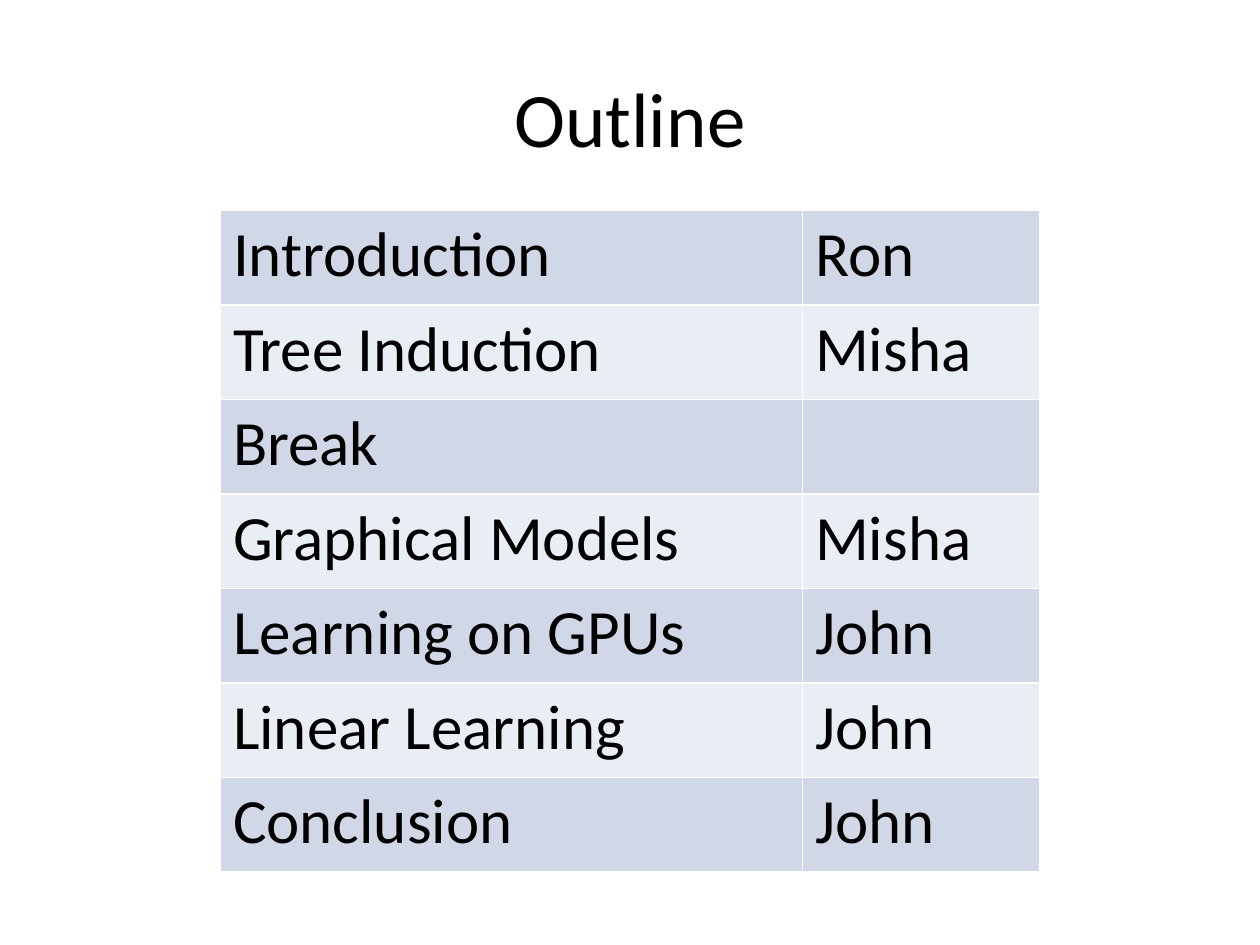
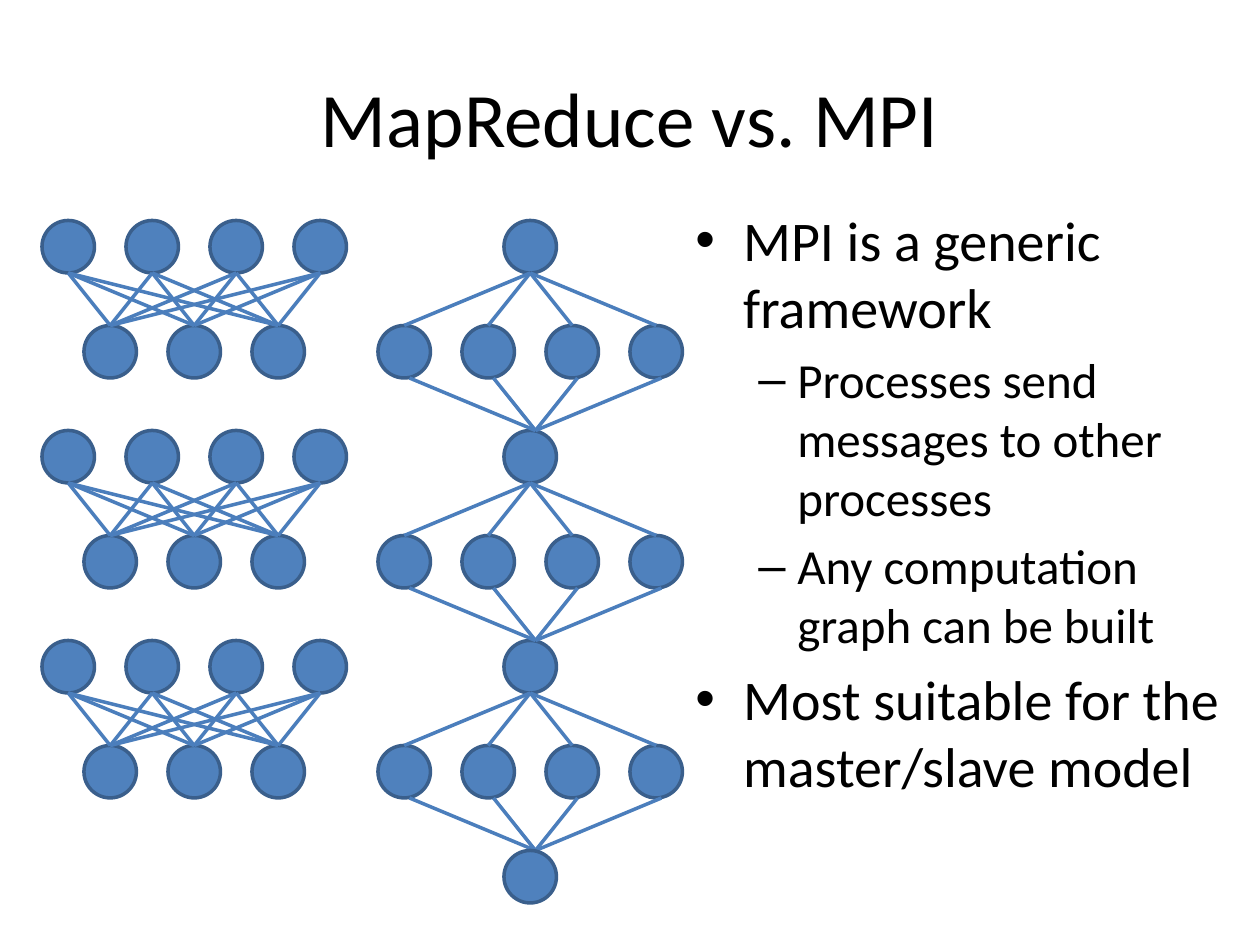
"""Build two slides: a talk outline and a comparison of MapReduce with MPI."""
import itertools
import lxml.etree
import pptx
import pptx.dml.color
import pptx.enum.shapes
import pptx.enum.text
import pptx.oxml.ns
import pptx.util

Inches, Pt = pptx.util.Inches, pptx.util.Pt
qn = pptx.oxml.ns.qn

FONT = "Calibri"
BLACK, WHITE = "000000", "FFFFFF"
BANDS = ["D0D8E8", "E9EDF4"]
NODE, EDGE, LINK = "4F81BD", "3A5F8C", "4B7EBC"

TALKS = [
    ("Introduction", "Ron"),
    ("Tree Induction", "Misha"),
    ("Break", ""),
    ("Graphical Models", "Misha"),
    ("Learning on GPUs", "John"),
    ("Linear Learning", "John"),
    ("Conclusion", "John"),
]
WIDTHS = [4.62, 1.88]
ROW = 0.75

POINTS = [
    (0, "MPI is a generic framework"),
    (1, "Processes send messages to other processes"),
    (1, "Any computation graph can be built"),
    (0, "Most suitable for the master/slave model"),
]
LEVELS = [("•", 32, 0.38, 0.38), ("–", 28, 0.81, 0.31)]

# Graph lengths are in twelfths of an inch.
UNIT = 1 / 12
SIZE, STEP, DROP, TOP = 5, 8, 10, 21
STAGES = 3
MAPS = [4 + STEP * i for i in range(4)]
SUMS = [8 + STEP * i for i in range(3)]
WORKS = [36 + STEP * i for i in range(4)]
HUB = 48


def color(code):
    return pptx.dml.color.RGBColor.from_string(code)


def write(para, text, size):
    run = para.add_run()
    run.text = text
    run.font.name, run.font.size = FONT, Pt(size)
    run.font.color.rgb = color(BLACK)


def text_box(slide, *place):
    frame = slide.shapes.add_textbox(*map(Inches, place)).text_frame
    frame.word_wrap = True
    return frame


def new_slide(deck, title):
    slide = deck.slides.add_slide(deck.slide_layouts[6])
    frame = text_box(slide, 0.5, 0.3, 9, 1.25)
    frame.vertical_anchor = pptx.enum.text.MSO_ANCHOR.MIDDLE
    para = frame.paragraphs[0]
    para.alignment = pptx.enum.text.PP_ALIGN.CENTER
    write(para, title, 44)
    return slide


def border(cell):
    props = cell._tc.get_or_add_tcPr()
    for i, side in enumerate(["a:lnL", "a:lnR", "a:lnT", "a:lnB"]):
        line = lxml.etree.Element(qn(side), w=str(Pt(1)))
        fill = lxml.etree.SubElement(line, qn("a:solidFill"))
        lxml.etree.SubElement(fill, qn("a:srgbClr"), val=WHITE)
        props.insert(i, line)


def add_talks(slide):
    place = (1.75, 1.67, sum(WIDTHS), ROW * len(TALKS))
    table = slide.shapes.add_table(len(TALKS), 2, *map(Inches, place)).table
    table.first_row = table.horz_banding = False
    for col, width in zip(table.columns, WIDTHS):
        col.width = Inches(width)
    for r, talk in enumerate(TALKS):
        for c, text in enumerate(talk):
            cell = table.cell(r, c)
            cell.fill.solid()
            cell.fill.fore_color.rgb = color(BANDS[r % 2])
            border(cell)
            if text:
                write(cell.text_frame.paragraphs[0], text, 36)


def add_points(slide):
    frame = text_box(slide, 5.42, 1.58, 4.42, 5.58)
    for i, (level, text) in enumerate(POINTS):
        para = frame.add_paragraph() if i else frame.paragraphs[0]
        mark, size, left, hang = LEVELS[level]
        para.level = level
        props = para._p.get_or_add_pPr()
        props.set("marL", str(Inches(left)))
        props.set("indent", str(-Inches(hang)))
        lxml.etree.SubElement(props, qn("a:buFont"), typeface="Arial")
        lxml.etree.SubElement(props, qn("a:buChar"), char=mark)
        if i:
            para.space_before = Pt(size * 0.2)
        write(para, text, size)


def add_node(slide, x, y):
    place = [Inches(n * UNIT) for n in (x, y, SIZE, SIZE)]
    oval = pptx.enum.shapes.MSO_SHAPE.OVAL
    node = slide.shapes.add_shape(oval, *place)
    node.shadow.inherit = False
    node.fill.solid()
    node.fill.fore_color.rgb = color(NODE)
    node.line.color.rgb = color(EDGE)
    node.line.width = Pt(2)


def add_links(slide, highs, lows, y, shift=0):
    """Link the foot of each high node, in the row at y, to the head of each low one."""
    mid = SIZE / 2 + shift
    for high, low in itertools.product(highs, lows):
        ends = (high + mid, y + SIZE, low + mid, y + DROP)
        kind = pptx.enum.shapes.MSO_CONNECTOR.STRAIGHT
        link = slide.shapes.add_connector(kind, *[Inches(n * UNIT) for n in ends])
        link.line.color.rgb = color(LINK)
        link.line.width = Pt(2)
        lxml.etree.SubElement(link._element.spPr, qn("a:effectLst"))


def add_graphs(slide):
    tops = [TOP + 2 * DROP * i for i in range(STAGES)]
    for y in tops:
        for x in MAPS + [HUB]:
            add_node(slide, x, y)
        for x in SUMS + WORKS:
            add_node(slide, x, y + DROP)
    for y in tops:
        add_links(slide, MAPS, SUMS, y)
        add_links(slide, [HUB], WORKS, y)
        add_links(slide, WORKS, [HUB], y + DROP, 0.5)
    add_node(slide, HUB, TOP + 2 * DROP * STAGES)


def main():
    deck = pptx.Presentation()
    deck.slide_width, deck.slide_height = Inches(10), Inches(7.5)
    add_talks(new_slide(deck, "Outline"))
    slide = new_slide(deck, "MapReduce vs. MPI")
    add_points(slide)
    add_graphs(slide)
    deck.save("out.pptx")


if __name__ == "__main__":
    main()
